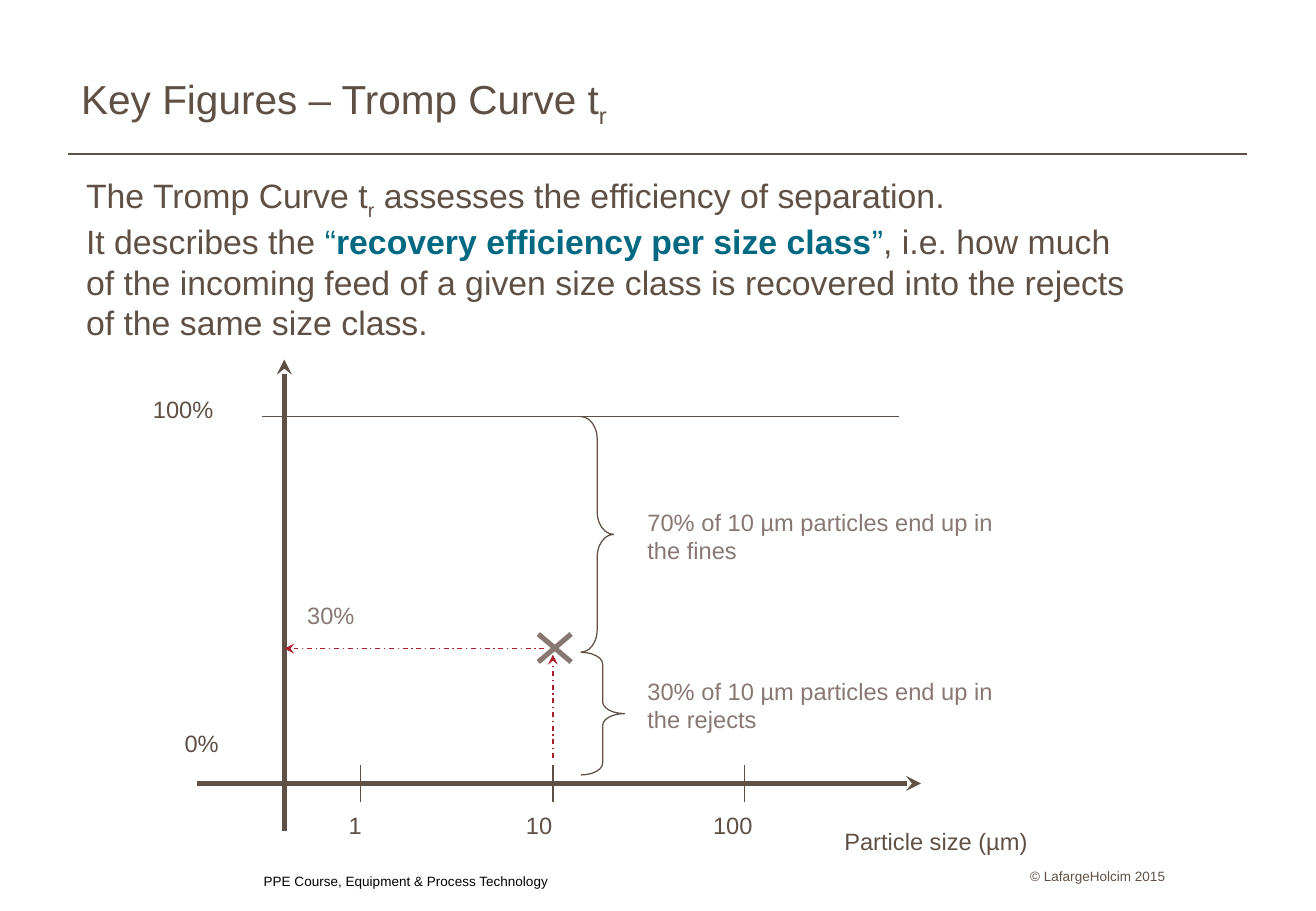
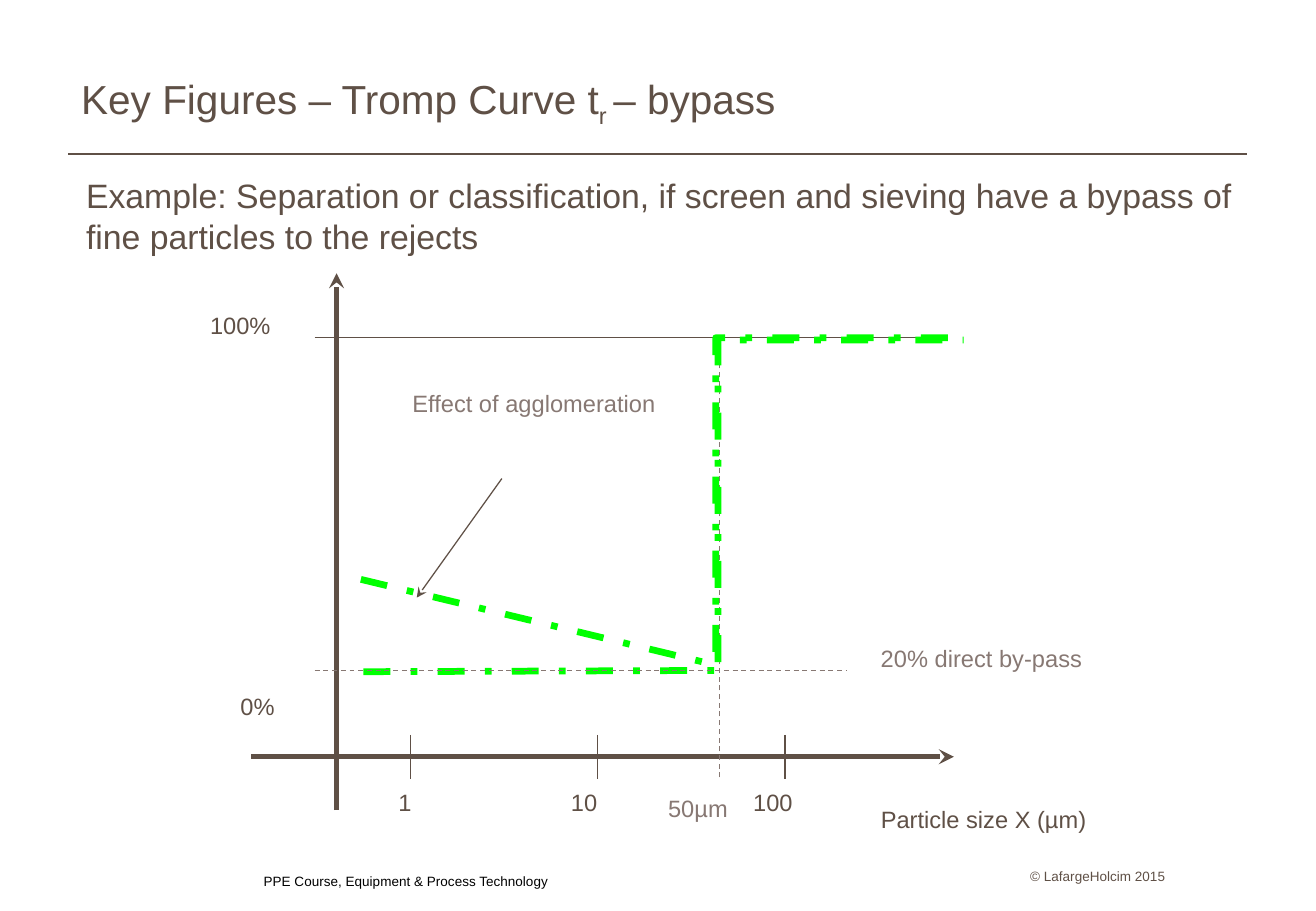
"""Build two slides that explain the Tromp curve and its bypass."""
from dataclasses import dataclass

from lxml import etree
from pptx import Presentation
from pptx.dml.color import RGBColor
from pptx.enum.dml import MSO_LINE
from pptx.enum.shapes import MSO_CONNECTOR, MSO_SHAPE
from pptx.enum.text import MSO_ANCHOR, PP_ALIGN
from pptx.oxml.ns import qn
from pptx.util import Inches, Pt

STRAIGHT = MSO_CONNECTOR.STRAIGHT
BRACE = MSO_SHAPE.RIGHT_BRACE
DASH, DASH_DOT = MSO_LINE.DASH, MSO_LINE.DASH_DOT
TOP, BOTTOM = MSO_ANCHOR.TOP, MSO_ANCHOR.BOTTOM
LEFT, CENTER, RIGHT = PP_ALIGN.LEFT, PP_ALIGN.CENTER, PP_ALIGN.RIGHT


@dataclass(frozen=True)
class Theme:
    font: str = "Arial"
    text: str = "5F5046"
    note: str = "877873"
    accent: str = "006982"
    guide: str = "AA1E2D"
    curve: str = "00FF00"
    footer: str = "000000"
    title_size: int = 24
    body_size: int = 20
    label_size: int = 14
    footer_size: int = 8
    thin: float = 0.75
    rule: float = 1
    thick: float = 3
    curve_width: float = 4


@dataclass(frozen=True)
class Plot:
    origin: tuple
    across: tuple
    upright: tuple
    full: tuple
    full_y: float
    first_tick: float
    tick_gap: float
    tick_half: float
    zero_at: tuple
    full_at: tuple
    caption_at: tuple
    caption: str


class Deck:
    def __init__(self, theme):
        self.theme = theme
        self.file = Presentation()
        self.file.slide_width, self.file.slide_height = Inches(10.83), Inches(7.5)
        self.shapes = None

    def start(self, title, body, body_box):
        theme = self.theme
        self.shapes = self.file.slides.add_slide(self.file.slide_layouts[6]).shapes
        self.line((0.56, 1.27), (10.26, 1.27), width=theme.rule)
        self.text((8.27, 7.1, 1.32, 0.18), "© LafargeHolcim 2015",
                  theme.footer_size, align=RIGHT, anchor=BOTTOM, inset=0)
        self.text((2.17, 7.14, 4.03, 0.18), "PPE Course, Equipment & Process Technology",
                  theme.footer_size, theme.footer, anchor=BOTTOM, inset=0)
        self.text((0.57, 0.21, 9.69, 0.93), [title], theme.title_size,
                  anchor=BOTTOM, inset=0.1, spacing=0.95)
        self.text(body_box, body, theme.body_size)

    def text(self, box, content, size=None, color=None, align=LEFT,
             anchor=TOP, inset=None, spacing=None):
        frame = self.shapes.add_textbox(*map(Inches, box)).text_frame
        layout = {"word_wrap": True, "vertical_anchor": anchor}
        if inset is not None:
            sides = ("left", "right", "top", "bottom")
            layout |= {f"margin_{side}": Inches(inset) for side in sides}
        for name, value in layout.items():
            setattr(frame, name, value)
        base = {"size": size or self.theme.label_size, "color": color or self.theme.text}
        paragraphs = [[(content, {})]] if isinstance(content, str) else content
        for index, pieces in enumerate(paragraphs):
            paragraph = frame.add_paragraph() if index else frame.paragraphs[0]
            paragraph.alignment = align
            paragraph.line_spacing = spacing
            for words, special in pieces:
                self.run(paragraph, words, **(base | special))

    def run(self, paragraph, words, size, color, bold=False, subscript=False):
        run = paragraph.add_run()
        run.text = words
        style = {"name": self.theme.font, "size": Pt(size), "bold": bold}
        for name, value in style.items():
            setattr(run.font, name, value)
        run.font.color.rgb = RGBColor.from_string(color)
        if subscript:
            run.font._element.set("baseline", "-25000")

    def note(self, box, words, align=LEFT):
        self.text(box, words, color=self.theme.note, align=align)

    def stroke(self, line, color=None, width=None, dash=None):
        line.color.rgb = RGBColor.from_string(color or self.theme.text)
        line.width = Pt(width or self.theme.thin)
        if dash is not None:
            line.dash_style = dash

    def line(self, start, end, color=None, width=None, dash=None, arrow=False):
        connector = self.shapes.add_connector(STRAIGHT, *map(Inches, (*start, *end)))
        self.stroke(connector.line, color, width, dash)
        properties = connector._element.spPr
        if arrow:
            etree.SubElement(properties.find(qn("a:ln")), qn("a:tailEnd"), type="stealth")
        etree.SubElement(properties, qn("a:effectLst"))

    def outline(self, shape, **stroke):
        shape.shadow.inherit = False
        shape.fill.background()
        self.stroke(shape.line, **stroke)

    def brace(self, box, curl):
        brace = self.shapes.add_shape(BRACE, *map(Inches, box))
        brace.adjustments[0], brace.adjustments[1] = curl, 0.5
        self.outline(brace)

    def curve(self, points):
        first, *rest = [tuple(map(Inches, point)) for point in points]
        builder = self.shapes.build_freeform(*first)
        builder.add_line_segments(rest, close=False)
        self.outline(builder.convert_to_shape(), color=self.theme.curve,
                     width=self.theme.curve_width, dash=DASH_DOT)

    def axes(self, plot):
        x, y = plot.origin
        thick = self.theme.thick
        self.text((*plot.caption_at, 2.45, 0.4), plot.caption)
        self.line((plot.across[0], y), (plot.across[1], y), width=thick, arrow=True)
        labels = (("1", 0.2, 0.37), ("10", 0.32, 0.52), ("100", 0.36, 0.67))
        for index, (label, shift, width) in enumerate(labels):
            tick = plot.first_tick + index * plot.tick_gap
            bottom = y + plot.tick_half
            self.line((tick, y - plot.tick_half), (tick, bottom))
            self.text((tick - shift, bottom + 0.03, width, 0.37), label)
        self.line((x, plot.upright[0]), (x, plot.upright[1]), width=thick, arrow=True)
        self.line((plot.full[0], plot.full_y), (plot.full[1], plot.full_y))
        self.text((*plot.zero_at, 0.61, 0.37), "0%")
        self.text((*plot.full_at, 0.91, 0.37), "100%")


def recovery_slide(deck):
    theme = deck.theme
    accent = theme.accent
    title = [("Key Figures – Tromp Curve t", {}), ("r", {"subscript": True})]
    body = [
        [("The Tromp Curve t", {}), ("r", {"subscript": True}),
         (" assesses the efficiency of separation.", {})],
        [("It describes the ", {}), ("“", {"color": accent}),
         ("recovery efficiency per size class", {"color": accent, "bold": True}),
         ("”", {"color": accent}),
         (", i.e. how much of the incoming feed of a given size class is "
          "recovered into the rejects of the same size class.", {})],
    ]
    deck.start(title, body, (0.61, 1.39, 8.82, 1.75))
    deck.axes(Plot(origin=(2.34, 6.45), across=(1.62, 7.58), upright=(6.84, 2.96),
                   full=(2.16, 7.4), full_y=3.43, first_tick=2.97, tick_gap=1.58,
                   tick_half=0.15, zero_at=(1.42, 5.95), full_at=(1.16, 3.2),
                   caption_at=(6.85, 6.76), caption="Particle size (µm)"))
    for start_y, end_y in ((5.45, 5.22), (5.22, 5.45)):
        deck.line((4.43, start_y), (4.7, end_y), theme.note, theme.thick)
    for start, end in (((4.55, 6.24), (4.55, 5.39)), ((4.48, 5.34), (2.34, 5.34))):
        deck.line(start, end, theme.guide, dash=DASH_DOT, arrow=True)
    deck.note((2.43, 4.9, 0.76, 0.37), "30%")
    shares = (
        ("30% of 10 µm particles end up in the rejects", 5.52, (4.78, 5.37, 0.36, 1.01), 0.27),
        ("70% of 10 µm particles end up in the fines", 4.13, (4.78, 3.43, 0.27, 1.94), 0.69),
    )
    for words, top, brace, curl in shares:
        deck.note((5.23, top, 3.34, 0.65), words)
        deck.brace(brace, curl)


def bypass_slide(deck):
    theme = deck.theme
    title = [("Key Figures – Tromp Curve t", {}), ("r ", {"subscript": True}),
             ("– bypass", {})]
    deck.start(title, "Example: Separation or classification, if screen and sieving "
               "have a bypass of fine particles to the rejects", (0.61, 1.39, 10, 1.08))
    deck.axes(Plot(origin=(2.77, 6.23), across=(2.07, 7.85), upright=(6.67, 2.25),
                   full=(2.59, 7.67), full_y=2.78, first_tick=3.38, tick_gap=1.54,
                   tick_half=0.18, zero_at=(1.88, 5.65), full_at=(1.63, 2.51),
                   caption_at=(7.15, 6.58), caption="Particle size X (µm)"))
    deck.note((5.4, 6.49, 0.87, 0.43), "50µm")
    deck.line((5.92, 6.4), (5.92, 2.78), theme.note, dash=DASH)
    deck.note((7.15, 5.25, 2.54, 0.43), "20% direct by-pass")
    deck.curve(((2.99, 5.53), (5.89, 5.52), (5.89, 2.78), (7.91, 2.78)))
    deck.line((2.59, 5.52), (6.97, 5.52), theme.note, dash=DASH)
    deck.note((3.08, 3.15, 2.63, 0.74), "Effect of agglomeration", CENTER)
    deck.curve(((2.97, 4.77), (5.91, 5.48), (5.91, 2.8), (7.93, 2.8)))
    deck.line((4.13, 3.94), (3.43, 4.92), arrow=True)


def main():
    deck = Deck(Theme())
    recovery_slide(deck)
    bypass_slide(deck)
    deck.file.save("out.pptx")


if __name__ == "__main__":
    main()
